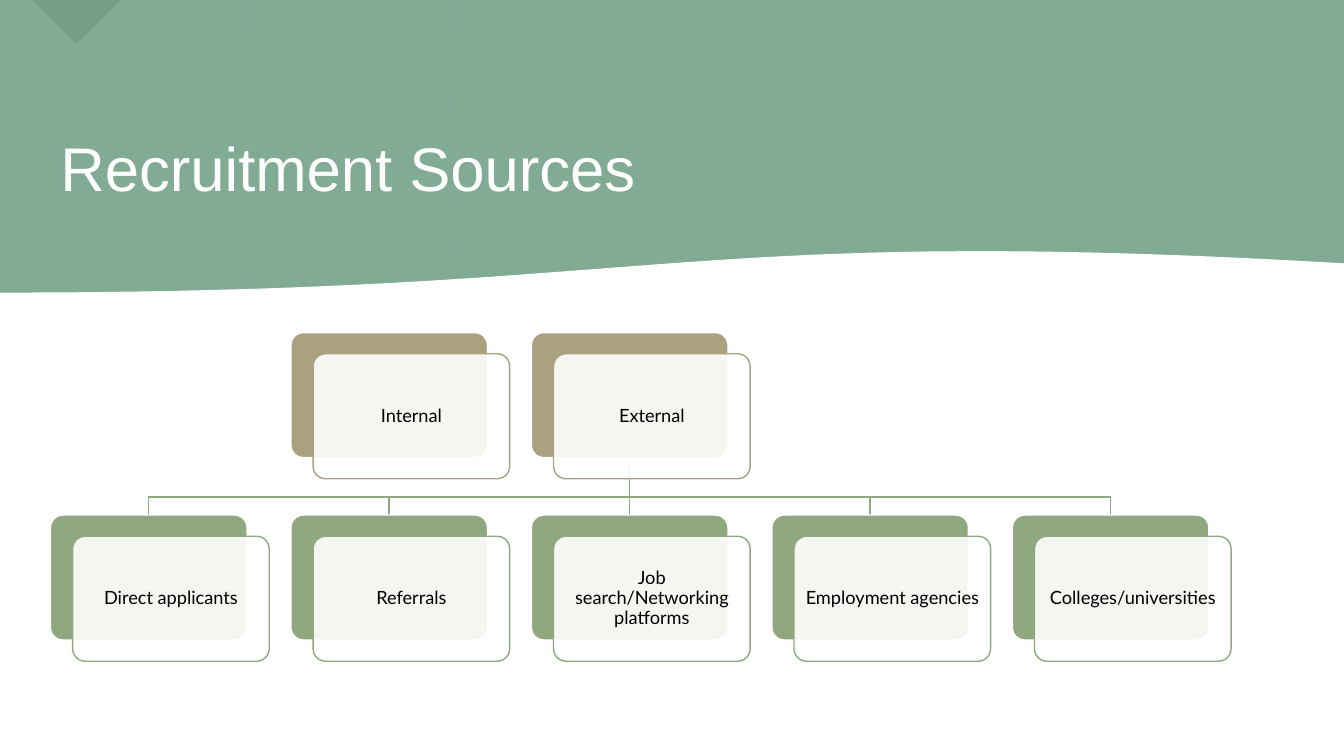
from lxml.etree import SubElement as Sub
from pptx import Presentation
from pptx.dml.color import RGBColor
from pptx.enum.dml import MSO_LINE
from pptx.enum.shapes import MSO_CONNECTOR as Conn, MSO_SHAPE as Kind
from pptx.enum.text import MSO_ANCHOR as Anchor, PP_ALIGN as Align
from pptx.oxml.ns import qn
from pptx.util import Inches, Pt

WIDE, HIGH = 13.33, 7.5
GREEN, SAGE, TAN, WHITE = "81AB94", "8FA880", "AAA180", "FFFFFF"
CARD_W, CARD_H = 1.95, 1.24
TOP = [(1, "Internal"), (2, "External")]
LOW = ["Direct applicants", "Referrals", "Job search/Networking platforms",
       "Employment agencies", "Colleges/universities"]


def paint(part, color, alpha=100):
    """Colour a fill in one solid colour, with its opacity in percent."""
    part.solid()
    part.fore_color.rgb = RGBColor.from_string(color)
    if alpha < 100:
        node = part.fore_color._xFill[0]
        Sub(node, qn("a:alpha"), val=str(alpha * 1000))


def stroke(shape, color, width=1, alpha=100):
    paint(shape.line.fill, color, alpha)
    shape.line.width = Pt(width)


def block(slide, kind, box, fill, alpha=100, edge=None):
    shape = slide.shapes.add_shape(kind, *map(Inches, box))
    shape.shadow.inherit = False
    paint(shape.fill, fill, alpha)
    if edge:
        stroke(shape, edge)
    else:
        shape.line.fill.background()
    return shape


def rule(slide, start, end, color, width=1, alpha=100):
    line = slide.shapes.add_connector(Conn.STRAIGHT, *map(Inches, start + end))
    Sub(line._element.spPr, qn("a:effectLst"))
    stroke(line, color, width, alpha)
    return line


def outline(slide, points, close):
    """Freeform through points in inches."""
    first, *rest = [(Inches(x), Inches(y)) for x, y in points]
    form = slide.shapes.build_freeform(*first)
    form.add_line_segments(rest, close=close)
    shape = form.convert_to_shape()
    shape.shadow.inherit = False
    return shape


def write(shape, text, size, font, color, inset, align):
    frame = shape.text_frame
    margins = ("left", "right", "top", "bottom")
    format = {f"margin_{side}": Inches(inset) for side in margins}
    format |= {"word_wrap": True, "vertical_anchor": Anchor.MIDDLE, "text": text}
    for name, value in format.items():
        setattr(frame, name, value)
    para = frame.paragraphs[0]
    para.alignment, para.line_spacing = align, 0.9
    face = para.runs[0].font
    face.size, face.name = Pt(size), font
    face.color.rgb = RGBColor.from_string(color)


def mesh(slide, box):
    """Faint dotted grid across the box."""
    left, top, wide, high = box
    cols = [0.21 + 1.093 * i for i in range(12)] + [13.12]
    rows = [0.19 + 0.609 * i for i in range(11)] + [6.83, 7.31]
    ends = [((left + x, top), (left + x, top + high)) for x in cols]
    ends += [((left, top + y), (left + wide, top + y)) for y in rows]
    for start, end in ends:
        line = rule(slide, start, end, "9CA671", 1.5, 20)
        line.line.dash_style = MSO_LINE.ROUND_DOT


def wave(slide, box):
    """White area under a smooth curve that starts at the box's top left."""
    left, top, wide, high = box
    xs = (0, wide / 2, wide / 2, wide)
    ys = (0, 0, -0.68, -0.29)
    points = []
    for i in range(81):
        t = i / 80
        shares = ((1 - t) ** 3, 3 * t * (1 - t) ** 2, 3 * t * t * (1 - t), t ** 3)
        points.append((left + sum(s * x for s, x in zip(shares, xs)),
                       top + sum(s * y for s, y in zip(shares, ys))))
    points += [(left + wide, top + high), (left, top + high)]
    shape = outline(slide, points, True)
    paint(shape.fill, WHITE)
    stroke(shape, WHITE)


def header(slide, box):
    left, top, wide, high = box
    corner = block(slide, Kind.RIGHT_TRIANGLE,
                   (left + 0.45, top - 0.31, 0.62, 0.62), "3C5A4A", 17)
    corner.rotation = 315
    title = slide.shapes.add_textbox(
        *map(Inches, (left + 0.5, top + 0.79, 11.75, high - 0.79)))
    write(title, "Recruitment Sources", 44, "Arial", WHITE, 0.1, Align.LEFT)


def card(slide, left, top, text, color):
    """Coloured plate with a pale labelled card over it; gives the plate."""
    plate, face = [
        block(slide, Kind.ROUNDED_RECTANGLE,
              (left + dx, top + dy, CARD_W, CARD_H), fill, alpha, edge)
        for dx, dy, fill, alpha, edge in ((0, 0, color, 100, WHITE),
                                          (0.22, 0.21, WHITE, 90, color))]
    for shape in (plate, face):
        shape.adjustments[0] = 0.1
    write(face, text, 13, "Lato", "000000", 0.05, Align.CENTER)
    return plate


def tree(slide, box):
    """Two sources on top, the second one branching into the lower row."""
    left, top, wide, high = box
    step = (wide - CARD_W) / (len(LOW) - 1)
    lows = top + high - CARD_H
    hub, base = left + 2 * step + CARD_W / 2, top + CARD_H
    bend = base + 0.39
    for i in reversed(range(len(LOW))):
        x = left + i * step + CARD_W / 2
        if i == 2:
            stem = rule(slide, (hub, base), (hub, lows), SAGE)
        else:
            arm = outline(slide, [(hub, base), (hub, bend), (x, bend), (x, lows)],
                          False)
            arm.fill.background()
            stroke(arm, SAGE)
    heads = [card(slide, left + i * step, top, text, TAN) for i, text in TOP]
    kids = [card(slide, left + i * step, lows, text, SAGE)
            for i, text in enumerate(LOW)]
    stem.begin_connect(heads[1], 2)
    stem.end_connect(kids[2], 0)


def main():
    deck = Presentation()
    deck.slide_width, deck.slide_height = Inches(WIDE), Inches(HIGH)
    slide = deck.slides.add_slide(deck.slide_layouts[6])
    page = (0, 0, WIDE, HIGH)
    block(slide, Kind.RECTANGLE, page, GREEN)
    mesh(slide, page)
    wave(slide, (0, 2.91, WIDE, HIGH - 2.91))
    header(slide, (0, 0, WIDE, 2.62))
    tree(slide, (0.5, 3.3, 11.49, 3.05))
    deck.save("out.pptx")


if __name__ == "__main__":
    main()
